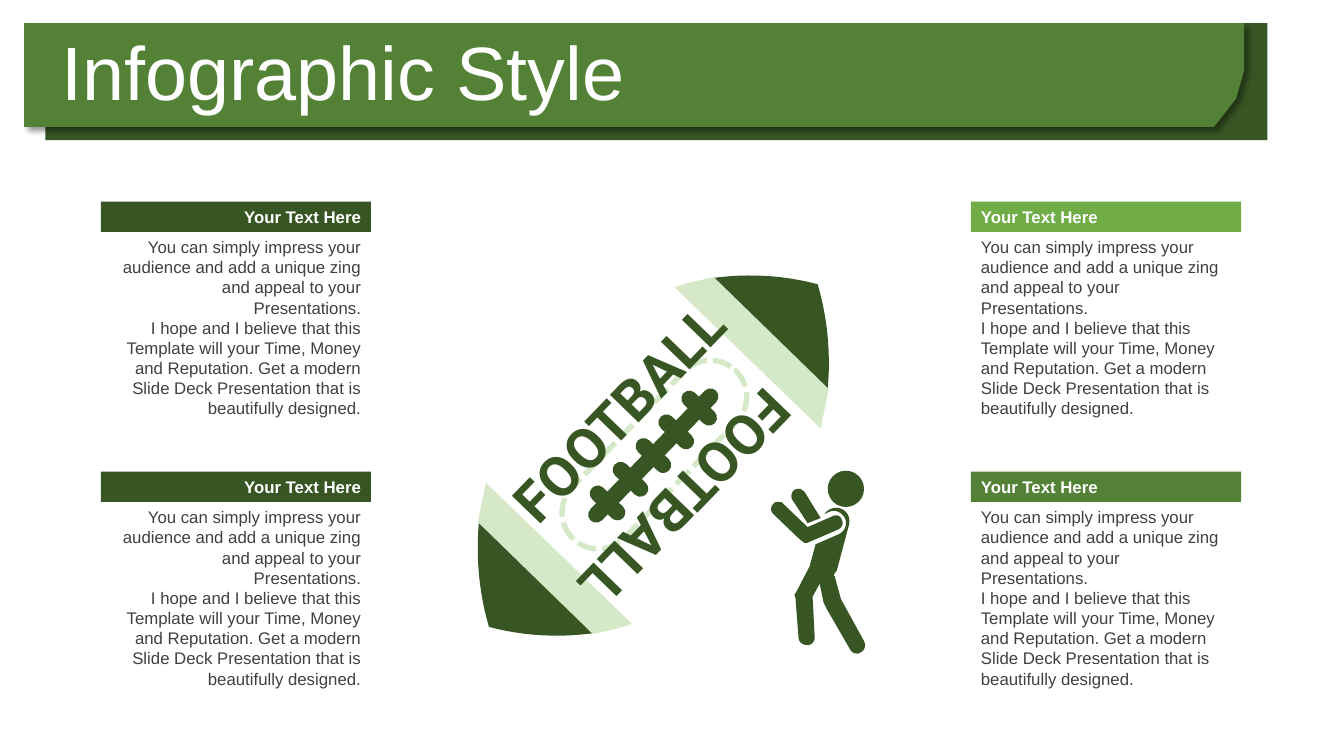
"""Build the football infographic slide with four text panels."""
from dataclasses import dataclass
from math import cos, radians, sin

from lxml.etree import SubElement as Sub
from pptx import Presentation
from pptx.dml.color import RGBColor as Rgb
from pptx.enum.shapes import MSO_SHAPE as Kind
from pptx.enum.text import MSO_ANCHOR as Anchor
from pptx.enum.text import MSO_AUTO_SIZE as Fit
from pptx.enum.text import PP_ALIGN as Align
from pptx.oxml.ns import qn
from pptx.util import Inches, Pt


@dataclass
class Theme:
    dark: str = "375623"
    mid: str = "538135"
    light: str = "70AD47"
    pale: str = "D5E8C8"
    white: str = "FFFFFF"
    gray: str = "404040"
    face: str = "Arial"
    ball: str = "Roboto"
    title: int = 54
    word: int = 40
    body: int = 12


theme = Theme()
deck = Presentation()
deck.slide_width, deck.slide_height = Inches(13.33), Inches(7.5)
slide = deck.slides.add_slide(deck.slide_layouts[6])
shapes = slide.shapes


def draw(color, steps=None, kind=None, box=None, turn=0):
    """Draw an outline of points and cubic curves, or a preset shape in a box."""
    if steps:
        dots = []
        for step in steps:
            if len(step) == 2:
                dots.append(step)
                continue
            (a, b), (c, d, e, f, g, h) = dots[-1], step
            for i in range(1, 13):
                t = i / 12
                w = (1 - t) ** 3, 3 * t * (1 - t) ** 2, 3 * t * t * (1 - t), t ** 3
                dots.append((sum(p * q for p, q in zip(w, (a, c, e, g))),
                             sum(p * q for p, q in zip(w, (b, d, f, h)))))
        dots = [(Inches(x), Inches(y)) for x, y in dots]
        form = shapes.build_freeform(*dots[0], scale=1.0)
        form.add_line_segments(dots[1:], close=True)
        shape = form.convert_to_shape()
    else:
        shape = shapes.add_shape(kind, *map(Inches, box))
    shape.rotation = turn
    shape.shadow.inherit = False
    shape.fill.solid()
    shape.fill.fore_color.rgb = Rgb.from_string(color)
    shape.line.fill.background()
    return shape


def write(shape, text, size, color, face=theme.face, bold=False,
          align=Align.LEFT, anchor=Anchor.TOP, fit=Fit.SHAPE_TO_FIT_TEXT):
    """Put formatted text in a shape."""
    frame = shape.text_frame
    frame.text = text
    frame.word_wrap = True
    frame.auto_size = fit
    frame.vertical_anchor = anchor
    for para in frame.paragraphs:
        para.alignment = align
        for run in para.runs:
            run.font.size, run.font.bold, run.font.name = Pt(size), bold, face
            run.font.color.rgb = Rgb.from_string(color)


draw(theme.dark, kind=Kind.RECTANGLE, box=(0.45, 0.23, 12.12, 1.16))
banner = draw(theme.mid, [(0.24, 0.23), (12.34, 0.23), (12.34, 0.7),
                          (12.26, 0.98), (12.04, 1.26), (0.24, 1.26)])
effect = banner._element.spPr.find(qn("a:effectLst"))
shade = Sub(effect, qn("a:outerShdw"), blurRad=str(Pt(4)), dist=str(Pt(3)),
            dir="2700000", algn="tl", rotWithShape="0")
black = Sub(shade, qn("a:srgbClr"), val="000000")
Sub(black, qn("a:alpha"), val="40000")

title = shapes.add_textbox(*map(Inches, (0.51, 0.36, 10.98, 0.79)))
write(title, "Infographic Style", theme.title, theme.white,
      anchor=Anchor.MIDDLE, fit=Fit.NONE)
title.text_frame.paragraphs[0].line_spacing = 0.9

tilt = 314
tip = [(6.94, 2.79), (7.06, 2.76), (7.41, 2.71, 7.77, 2.73, 8.11, 2.82),
       (8.21, 3.16, 8.24, 3.51, 8.21, 3.86), (8.18, 3.99)]
band = [(6.69, 2.85), (6.83, 2.8, 6.95, 2.78, 7.08, 2.75),
        (8.22, 3.86), (8.14, 4.25)]
mid_x, mid_y = 6.48, 4.52
for color, part in ((theme.dark, tip), (theme.pale, band)):
    draw(color, part)
    draw(color, [tuple(2 * (mid_y if i % 2 else mid_x) - v
                       for i, v in enumerate(step)) for step in part])

bars = [(0, 1.79, tilt)] + [(0.327 * i, 0.43, tilt - 270) for i in range(-2, 3)]
thick = 0.16
for shift, size, turn in bars:
    x = mid_x + shift * cos(radians(tilt))
    y = mid_y + shift * sin(radians(tilt))
    lace = draw(theme.dark, kind=Kind.ROUNDED_RECTANGLE, turn=turn,
                box=(x - size / 2, y - thick / 2, size, thick))
    lace.adjustments[0] = 0.5

seam = draw(theme.pale, kind=Kind.ROUNDED_RECTANGLE,
            box=(5.33, 4.15, 2.32, 0.72), turn=tilt)
seam.adjustments[0] = 0.5
seam.fill.background()
seam.line.color.rgb = Rgb.from_string(theme.pale)
seam.line.width = Pt(3.8)
dash = Sub(seam.line._get_or_add_ln(), qn("a:custDash"))
Sub(dash, qn("a:ds"), d="360000", sp="110000")

for left, top, turn in ((4.47, 3.63, tilt), (4.8, 4.16, tilt - 180)):
    word = shapes.add_textbox(*map(Inches, (left, top, 3.67, 1.25)))
    word.rotation = turn
    write(word, "FOOTBALL", theme.word, theme.dark, theme.ball, True, Align.CENTER)

near_arm = [
    (7.72, 4.98), (7.74, 4.98, 7.76, 4.98, 7.77, 5), (8.01, 5.23), (8.26, 5.12),
    (8.3, 5.1, 8.34, 5.12, 8.35, 5.16), (8.37, 5.19, 8.35, 5.23, 8.32, 5.25),
    (8.02, 5.38), (8, 5.39, 7.98, 5.39, 7.97, 5.38), (7.92, 5.34), (7.67, 5.1),
    (7.64, 5.07, 7.64, 5.03, 7.67, 5), (7.68, 4.98, 7.7, 4.98, 7.72, 4.98)]
trunk = [
    (8.32, 5.04), (8.4, 5.06, 8.44, 5.13, 8.42, 5.21),
    (8.38, 5.36, 8.34, 5.51, 8.3, 5.66), (8.27, 5.7), (8.28, 5.72),
    (8.34, 5.94), (8.35, 5.96), (8.57, 6.36), (8.59, 6.4, 8.58, 6.45, 8.54, 6.47),
    (8.5, 6.5, 8.45, 6.48, 8.43, 6.44), (8.2, 6.04), (8.17, 5.98), (8.13, 5.79),
    (8.06, 5.92), (8.08, 6.31), (8.09, 6.36, 8.05, 6.4, 8.01, 6.4),
    (7.96, 6.4, 7.92, 6.37, 7.92, 6.32), (7.89, 5.93), (7.88, 5.9), (7.9, 5.87),
    (8.03, 5.62), (8.09, 5.4), (8.32, 5.3), (8.38, 5.27, 8.41, 5.2, 8.38, 5.14),
    (8.35, 5.08, 8.28, 5.05, 8.22, 5.08), (8.18, 5.1),
    (8.21, 5.05, 8.27, 5.03, 8.32, 5.04)]
far_arm = [
    (7.94, 4.85), (7.95, 4.86, 7.97, 4.87, 7.98, 4.88), (8.14, 5.14), (8.01, 5.19),
    (7.86, 4.96), (7.84, 4.93, 7.85, 4.88, 7.88, 4.86),
    (7.9, 4.85, 7.92, 4.85, 7.94, 4.85)]
for limb in (near_arm, trunk, far_arm):
    draw(theme.dark, limb)
draw(theme.dark, kind=Kind.OVAL, box=(8.21, 4.67, 0.36, 0.36))

story = ("You can simply impress your audience and add a unique zing and appeal "
         "to your Presentations.\n"
         "I hope and I believe that this Template will your Time, Money and "
         "Reputation. Get a modern Slide Deck Presentation that is "
         "beautifully designed.")
panels = [(1, 4.68, theme.dark, Align.RIGHT), (1, 2, theme.dark, Align.RIGHT),
          (9.63, 4.68, theme.mid, Align.LEFT), (9.63, 2, theme.light, Align.LEFT)]
for left, top, color, align in panels:
    note = shapes.add_textbox(*map(Inches, (left, top + 0.3, 2.68, 1.72)))
    write(note, story, theme.body, theme.gray, align=align)
    head = draw(color, kind=Kind.RECTANGLE, box=(left, top, 2.68, 0.3))
    write(head, "Your Text Here", theme.body, theme.white, bold=True, align=align)

deck.save("out.pptx")
